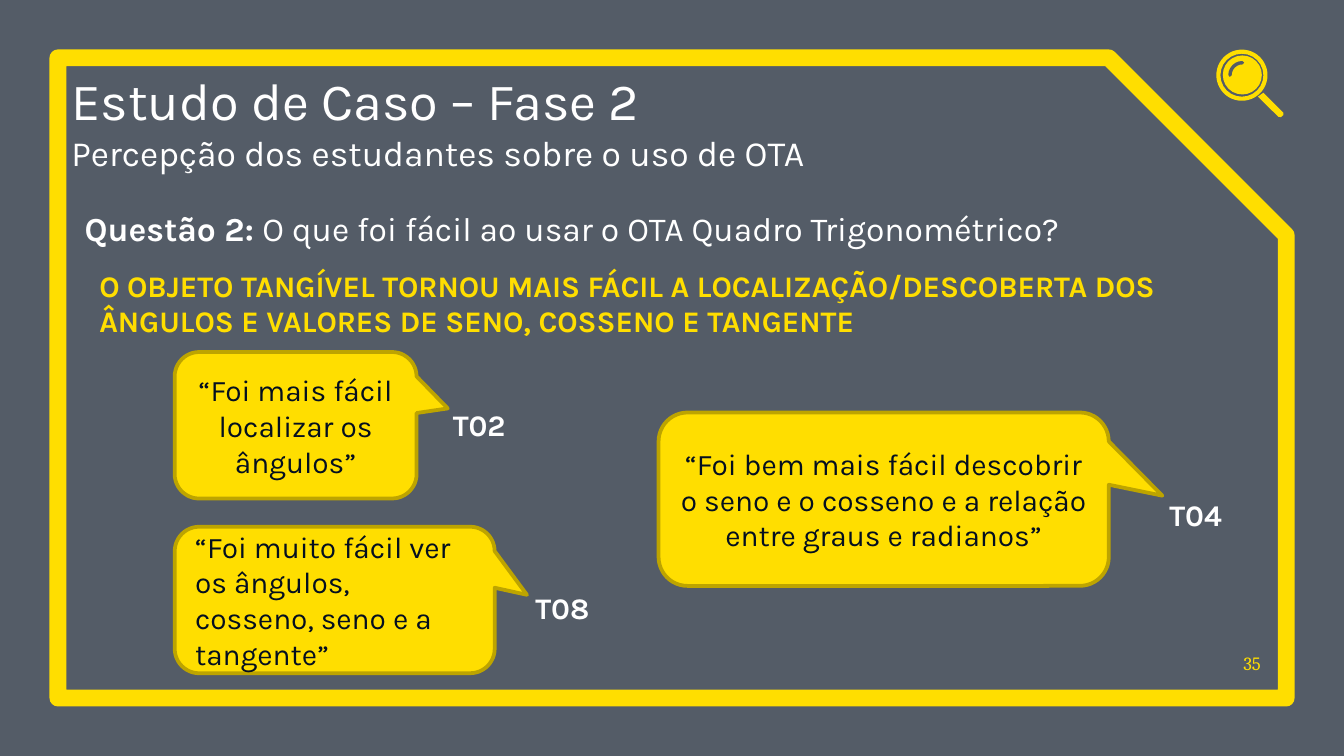
"""Build the case study slide with three student quotes in speech callouts."""
from lxml.etree import SubElement
from pptx import Presentation
from pptx.dml.color import RGBColor
from pptx.enum.shapes import MSO_SHAPE as Shape
from pptx.enum.text import MSO_ANCHOR as Anchor, MSO_AUTO_SIZE as AutoSize, PP_ALIGN as Align
from pptx.oxml.ns import qn
from pptx.util import Pt

YELLOW = RGBColor(0xFF, 0xDE, 0x00)
OLIVE = RGBColor(0xBD, 0xA4, 0x00)
SLATE = RGBColor(0x54, 0x5C, 0x67)
NAVY = RGBColor(0x04, 0x0F, 0x20)
WHITE = RGBColor(0xFF, 0xFF, 0xFF)


def write(para, text, size, color, bold=False, name="Karla", align=Align.LEFT):
    para.alignment = align
    span = para.add_run()
    span.text = text
    formats = {"size": Pt(size), "bold": bold, "name": name}
    for key, value in formats.items():
        setattr(span.font, key, value)
    span.font.color.rgb = color
    return span


def add_shape(kind, bounds, adjustments=(), fill=None, line=None, width=0):
    shape = page.shapes.add_shape(kind, *map(Pt, bounds))
    shape.shadow.inherit = False
    for index, value in enumerate(adjustments):
        shape.adjustments[index] = value
    if fill is None:
        shape.fill.background()
    else:
        shape.fill.solid()
        shape.fill.fore_color.rgb = fill
    if line is None:
        shape.line.fill.background()
    else:
        shape.line.color.rgb = line
        shape.line.width = Pt(width)
    return shape


deck = Presentation()
deck.slide_width, deck.slide_height = Pt(720), Pt(405)
page = deck.slides.add_slide(deck.slide_layouts[5])
page.background.fill.solid()
page.background.fill.fore_color.rgb = SLATE

add_shape(Shape.SNIP_1_RECTANGLE, (31, 31, 658, 343), [0.277], line=YELLOW, width=9)

add_shape(Shape.DONUT, (651.6, 26.6, 27.4, 27.4), [0.08], YELLOW)
add_shape(Shape.OVAL, (655.1, 29.7, 20.9, 20.9), fill=YELLOW)
glint = add_shape(Shape.ARC, (658.9, 33.6, 13.4, 13.4), [108, 162], line=SLATE, width=1.8)
glint.line._get_or_add_ln().set("cap", "rnd")
outline = [(676.8, 49.7), (687.6, 60.5), (687.6, 61.6), (686.2, 62.8), (684.8, 62.6), (673.9, 51.8)]
corners = [(Pt(x), Pt(y)) for x, y in outline]
builder = page.shapes.build_freeform(*corners[0], scale=1.0)
builder.add_line_segments(corners[1:], close=True)
handle = builder.convert_to_shape()
handle.shadow.inherit = False
handle.fill.solid()
handle.fill.fore_color.rgb = YELLOW
handle.line.fill.background()

title = page.shapes.title
number = page.shapes.add_textbox(Pt(656), Pt(341.3), Pt(19.4), Pt(20))
place = {"left": Pt(38.2), "top": Pt(38.9), "width": Pt(605.5), "height": Pt(54)}
for key, value in place.items():
    setattr(title, key, value)
tight = {"margin_left": 0, "margin_top": 0, "margin_right": 0, "margin_bottom": 0,
         "vertical_anchor": Anchor.BOTTOM, "word_wrap": True, "auto_size": AutoSize.NONE}
for box in (title, number):
    for key, value in tight.items():
        setattr(box.text_frame, key, value)
write(number.text_frame.paragraphs[0], "35", 10, YELLOW, name="Cambria", align=Align.RIGHT)

headings = [
    (title.text_frame.paragraphs[0], "Estudo de Caso – Fase 2", 28),
    (title.text_frame.add_paragraph(), "Percepção dos estudantes sobre o uso de OTA", 19),
]
for para, text, size in headings:
    span = write(para, text, size, WHITE)
    effects = SubElement(span.font._element, qn("a:effectLst"))
    shadow = SubElement(effects, qn("a:outerShdw"), blurRad="38100", dist="38100", dir="2700000")
    tint = SubElement(shadow, qn("a:srgbClr"), val="000000")
    SubElement(tint, qn("a:alpha"), val="43000")
    span.font._element.find(qn("a:solidFill")).addnext(effects)

callouts = [
    ((93.6, 188.6, 129.6, 78.5), (0.629, -0.115), "“Foi mais fácil localizar os ângulos”", Align.CENTER),
    ((352.8, 221, 241.2, 92.9), (0.619, -0.02),
     "“Foi bem mais fácil descobrir o seno e o cosseno e a relação entre graus e radianos”", Align.CENTER),
    ((93.6, 282.2, 171.4, 78.5), (0.601, -0.035),
     "“Foi muito fácil ver os ângulos, cosseno, seno e a tangente”", Align.LEFT),
]
for bounds, tip, quote, align in callouts:
    bubble = add_shape(Shape.ROUNDED_RECTANGULAR_CALLOUT, bounds, (*tip, 0.167), YELLOW, OLIVE, 2)
    bubble.text_frame.word_wrap = True
    bubble.text_frame.vertical_anchor = Anchor.MIDDLE
    write(bubble.text_frame.paragraphs[0], quote, 16, NAVY, align=align)

texts = [
    ((38.2, 108, 581, 28.8), 18, WHITE, Align.LEFT,
     [("Questão 2: ", True), ("O que foi fácil ao usar o OTA Quadro Trigonométrico?", False)]),
    ((46.1, 139.7, 627.8, 46.1), 16, YELLOW, Align.LEFT,
     [("O OBJETO TANGÍVEL TORNOU MAIS FÁCIL A LOCALIZAÇÃO/DESCOBERTA DOS "
       "ÂNGULOS E VALORES DE SENO, COSSENO E TANGENTE", True)]),
]
for left, top, student in [(234, 214.6, "T02"), (617.8, 262.8, "T04"), (278.6, 312.5, "T08")]:
    texts.append(((left, top, 45.4, 26.6), 16, WHITE, Align.CENTER, [(student, True)]))
for bounds, size, color, align, spans in texts:
    box = page.shapes.add_textbox(*map(Pt, bounds))
    box.text_frame.word_wrap = True
    box.text_frame.auto_size = AutoSize.SHAPE_TO_FIT_TEXT
    for text, bold in spans:
        write(box.text_frame.paragraphs[0], text, size, color, bold, align=align)

deck.save("out.pptx")
